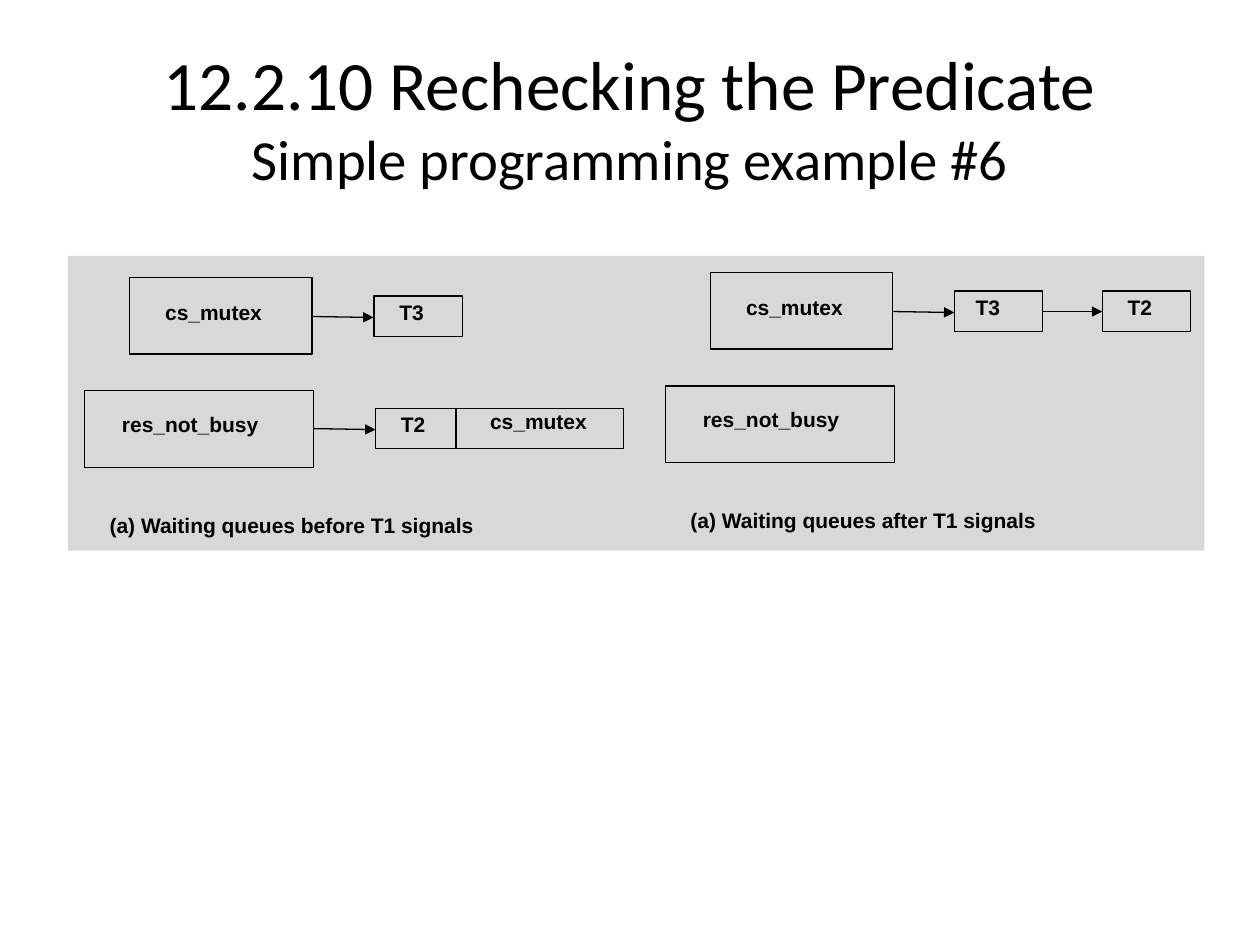
from dataclasses import dataclass

from lxml import etree
from pptx import Presentation
from pptx.dml.color import RGBColor
from pptx.enum.shapes import MSO_CONNECTOR, MSO_SHAPE
from pptx.enum.text import MSO_ANCHOR, PP_ALIGN
from pptx.oxml.ns import qn
from pptx.util import Cm, Pt

RECT = MSO_SHAPE.RECTANGLE
LINE = MSO_CONNECTOR.STRAIGHT
MIDDLE, TOP = MSO_ANCHOR.MIDDLE, MSO_ANCHOR.TOP
CENTER = PP_ALIGN.CENTER

HUES = {"ink": "000000", "panel": "D8D8D8"}
LABEL = {"name": "Arial", "size": Pt(12), "bold": True}
HEAD = {"name": "Calibri", "size": Pt(39.6)}
SUB = {"name": "Calibri", "size": Pt(32.4)}
BODY = {"word_wrap": True, "vertical_anchor": TOP,
        "margin_left": Cm(0.18), "margin_right": Cm(0.18),
        "margin_top": Cm(0.08), "margin_bottom": Cm(0.08)}
ROW = 0.81   # height of a node and of a label
TALL = 1.55  # height of a queue box


@dataclass
class Box:
    left: float
    top: float
    width: float
    height: float


@dataclass
class Node:
    """A framed box with a label placed at an offset inside it."""
    box: Box
    text: str
    dx: float
    dy: float
    width: float


@dataclass
class Link:
    x1: float
    y1: float
    x2: float
    y2: float
    arrow: bool = True


@dataclass
class Panel:
    left: float
    top: float
    nodes: list[Node]
    links: list[Link]
    note: str


def hue(key: str) -> RGBColor:
    return RGBColor.from_string(HUES[key])


def apply(target, form: dict) -> None:
    for key, value in form.items():
        setattr(target, key, value)


def add_run(para, text: str, form: dict) -> None:
    run = para.add_run()
    run.text = text
    apply(run.font, form)
    run.font.color.rgb = hue("ink")


def add_rect(slide, box: Box, fill: str = "") -> None:
    """Draw a filled rectangle, or an outlined one if no fill is named."""
    shape = slide.shapes.add_shape(
        RECT, Cm(box.left), Cm(box.top), Cm(box.width), Cm(box.height))
    shape.shadow.inherit = False
    if fill:
        shape.fill.solid()
        shape.fill.fore_color.rgb = hue(fill)
        shape.line.fill.background()
    else:
        shape.fill.background()
        shape.line.color.rgb = hue("ink")
        shape.line.width = Pt(0.75)


def add_label(slide, text: str, left: float, top: float, width: float) -> None:
    shape = slide.shapes.add_textbox(Cm(left), Cm(top), Cm(width), Cm(ROW))
    apply(shape.text_frame, BODY)
    add_run(shape.text_frame.paragraphs[0], text, LABEL)


def add_link(slide, link: Link, left: float, top: float) -> None:
    line = slide.shapes.add_connector(
        LINE, Cm(left + link.x1), Cm(top + link.y1),
        Cm(left + link.x2), Cm(top + link.y2))
    line.line.color.rgb = hue("ink")
    line.line.width = Pt(0.75)
    if link.arrow:
        etree.SubElement(line.line._get_or_add_ln(), qn("a:tailEnd"),
                         type="triangle")
    etree.SubElement(line._element.spPr, qn("a:effectLst"))


def add_title(slide) -> None:
    shape = slide.shapes.add_textbox(Cm(1.27), Cm(0.76), Cm(22.86), Cm(3.18))
    apply(shape.text_frame, {"word_wrap": True, "vertical_anchor": MIDDLE})
    para = shape.text_frame.paragraphs[0]
    para.alignment = CENTER
    add_run(para, "12.2.10 Rechecking the Predicate", HEAD)
    para.add_line_break()
    add_run(para, "Simple programming example #6", SUB)


def add_panel(slide, panel: Panel) -> None:
    """Draw the two queues, which every panel has, and its own parts."""
    queues = [Node(Box(0.91, 0, 3.68, TALL), "cs_mutex", 0.54, 0.36, 2.84),
              Node(Box(0, 2.29, 4.62, TALL), "res_not_busy", 0.58, 0.33, 3.89)]
    for node in queues + panel.nodes:
        box = node.box
        left, top = panel.left + box.left, panel.top + box.top
        add_rect(slide, Box(left, top, box.width, box.height))
        add_label(slide, node.text, left + node.dx, top + node.dy, node.width)
    for link in panel.links:
        add_link(slide, link, panel.left, panel.top)
    add_label(slide, panel.note, panel.left + 0.33, panel.top + 4.67, 8.81)


def make_node(text: str, left: float, top: float, dx: float = 0.33) -> Node:
    return Node(Box(left, top, 1.78, ROW), text, dx, -0.02, 1.32)


def main() -> None:
    deck = Presentation()
    deck.slide_width, deck.slide_height = Cm(25.4), Cm(19.05)
    slide = deck.slides.add_slide(deck.slide_layouts[6])
    add_title(slide)
    add_rect(slide, Box(1.37, 5.16, 22.91, 5.94), "panel")

    first = Link(4.6, 0.79, 5.83, 0.81)
    before = Panel(
        1.7, 5.59,
        [make_node("T3", 5.84, 0.38),
         Node(Box(5.87, 2.64, 5, ROW), "T2", 0.33, -0.02, 1.32)],
        [first, Link(4.62, 3.05, 5.87, 3.07),
         Link(7.49, 2.64, 7.49, 3.45, arrow=False)],
        "(a) Waiting queues before T1 signals")
    after = Panel(
        13.41, 5.49,
        [make_node("T3", 5.83, 0.38, 0.25), make_node("T2", 8.81, 0.38)],
        [first, Link(7.61, 0.79, 8.81, 0.79)],
        "(a) Waiting queues after T1 signals")
    for panel in (before, after):
        add_panel(slide, panel)
    add_label(slide, "cs_mutex", before.left + 8, before.top + 2.57, 2.72)
    deck.save("out.pptx")


if __name__ == "__main__":
    main()
